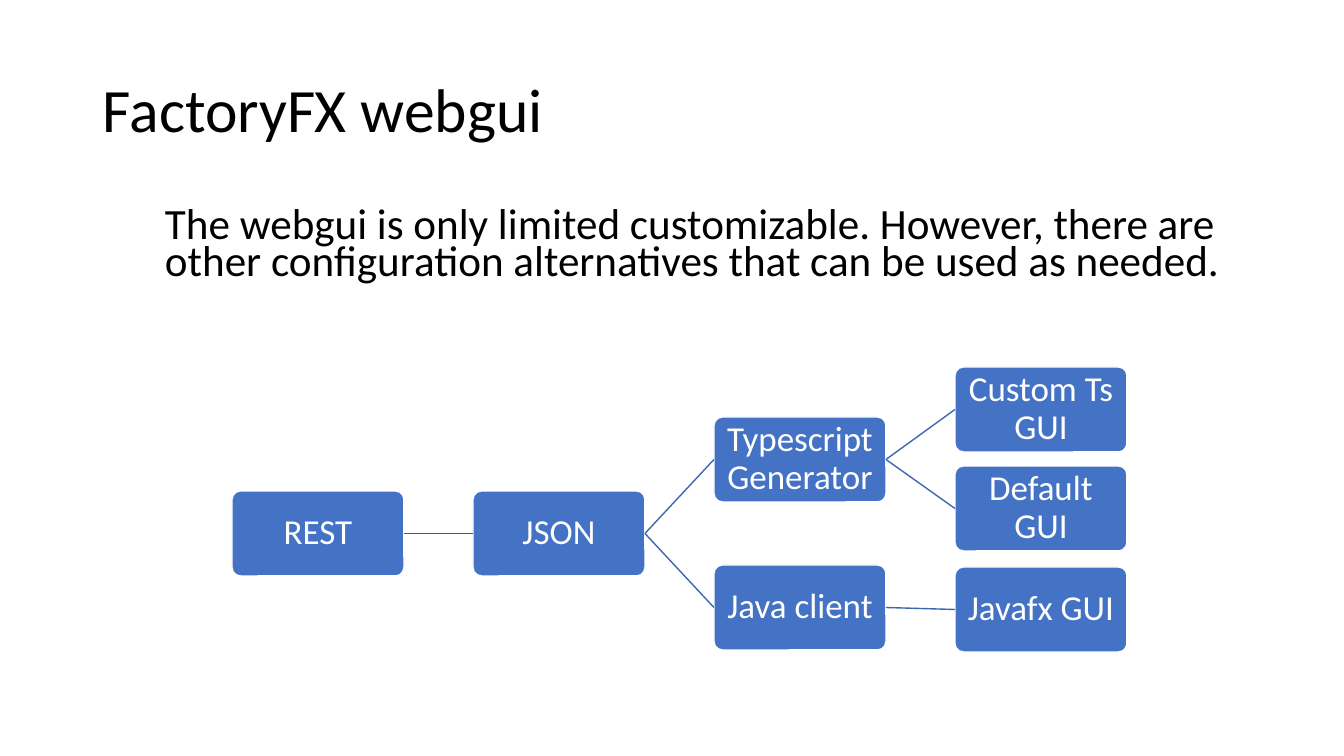
from lxml import etree
from pptx import Presentation
from pptx.dml.color import RGBColor
from pptx.enum.shapes import MSO_CONNECTOR, MSO_SHAPE
from pptx.enum.text import MSO_ANCHOR, PP_ALIGN
from pptx.oxml.ns import qn
from pptx.util import Emu, Pt

ROUND = MSO_SHAPE.ROUNDED_RECTANGLE
STRAIGHT = MSO_CONNECTOR.STRAIGHT
MIDDLE = MSO_ANCHOR.MIDDLE
LEFT, CENTER = PP_ALIGN.LEFT, PP_ALIGN.CENTER
NODE_W, NODE_H, STEP = 172, 85, 241
NODES = {
    "REST": (0, 124),
    "JSON": (1, 124),
    "Typescript Generator": (2, 50),
    "Java client": (2, 198),
    "Custom Ts GUI": (3, 0),
    "Default GUI": (3, 99),
    "Javafx GUI": (3, 200),
}
LINKS = [
    ("REST", "JSON", "365B9D"),
    ("JSON", "Typescript Generator", "3E67B2"),
    ("JSON", "Java client", "3E67B2"),
    ("Typescript Generator", "Custom Ts GUI", "3E67B2"),
    ("Typescript Generator", "Default GUI", "3E67B2"),
    ("Java client", "Javafx GUI", "3E67B2"),
]


def px(*vals):
    """Turn pixels into EMU."""
    return [Emu(round(val * 914400 / 100.8)) for val in vals]


def color(code):
    """Return the colour for a hex string."""
    return RGBColor.from_string(code)


def write(shape, text, size, code, align, spacing):
    """Set one styled paragraph, centred vertically, in a shape."""
    frame = shape.text_frame
    frame.word_wrap = True
    frame.vertical_anchor = MIDDLE
    para = frame.paragraphs[0]
    para.text = text
    para.alignment = align
    para.line_spacing = spacing
    para.font.name = "Calibri"
    para.font.size = Pt(size)
    para.font.color.rgb = color(code)


def add_text(slide, box, text, size, spacing):
    """Add a left-aligned block of black text."""
    shape = slide.shapes.add_textbox(*px(*box))
    write(shape, text, size, "000000", LEFT, spacing)


def add_node(slide, box, text):
    """Add one rounded node of the tree."""
    shape = slide.shapes.add_shape(ROUND, *px(*box))
    shape.adjustments[0] = 0.1
    shape.shadow.inherit = False
    shape.fill.solid()
    shape.fill.fore_color.rgb = color("4472C4")
    shape.line.color.rgb = color("FFFFFF")
    shape.line.width = Pt(1)
    write(shape, text, 25, "FFFFFF", CENTER, 0.9)
    frame = shape.text_frame
    frame.margin_left = frame.margin_right = px(4)[0]
    frame.margin_top = frame.margin_bottom = px(2)[0]


def add_link(slide, start, end, code):
    """Add a plain line between two points."""
    line = slide.shapes.add_connector(STRAIGHT, *px(*start, *end))
    line.line.color.rgb = color(code)
    line.line.width = Pt(1)
    etree.SubElement(line._element.spPr, qn("a:effectLst"))


def add_tree(slide, left, top):
    """Add the tree of nodes and links from its top left corner."""
    spots = {name: (left + col * STEP, top + y)
             for name, (col, y) in NODES.items()}
    for name, (x, y) in spots.items():
        add_node(slide, (x, y, NODE_W, NODE_H), name)
    for parent, child, code in LINKS:
        (x1, y1), (x2, y2) = spots[parent], spots[child]
        add_link(slide, (x1 + NODE_W, y1 + NODE_H / 2),
                 (x2, y2 + NODE_H / 2), code)


def build():
    """Build and save the slide."""
    deck = Presentation()
    deck.slide_width, deck.slide_height = px(1344, 756)
    slide = deck.slides.add_slide(deck.slide_layouts[6])
    add_text(slide, (93, 40, 1159, 146), "FactoryFX webgui", 44, 0.9)
    add_text(slide, (155, 195, 1079, 104),
             "The webgui is only limited customizable. However, there are "
             "other configuration alternatives that can be used as needed.",
             30.8, 0.7)
    add_tree(slide, 232, 367)
    deck.save("out.pptx")


build()
